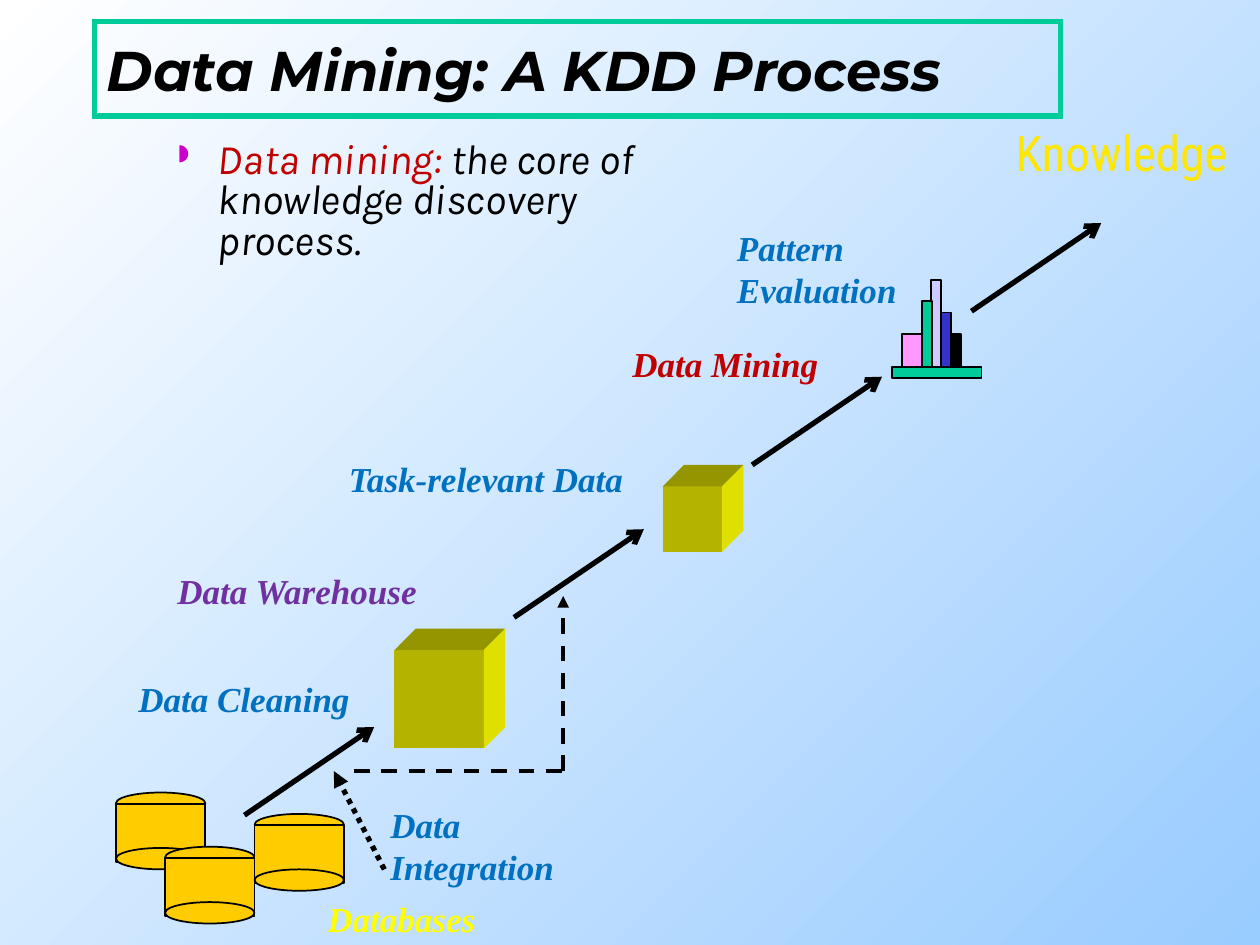
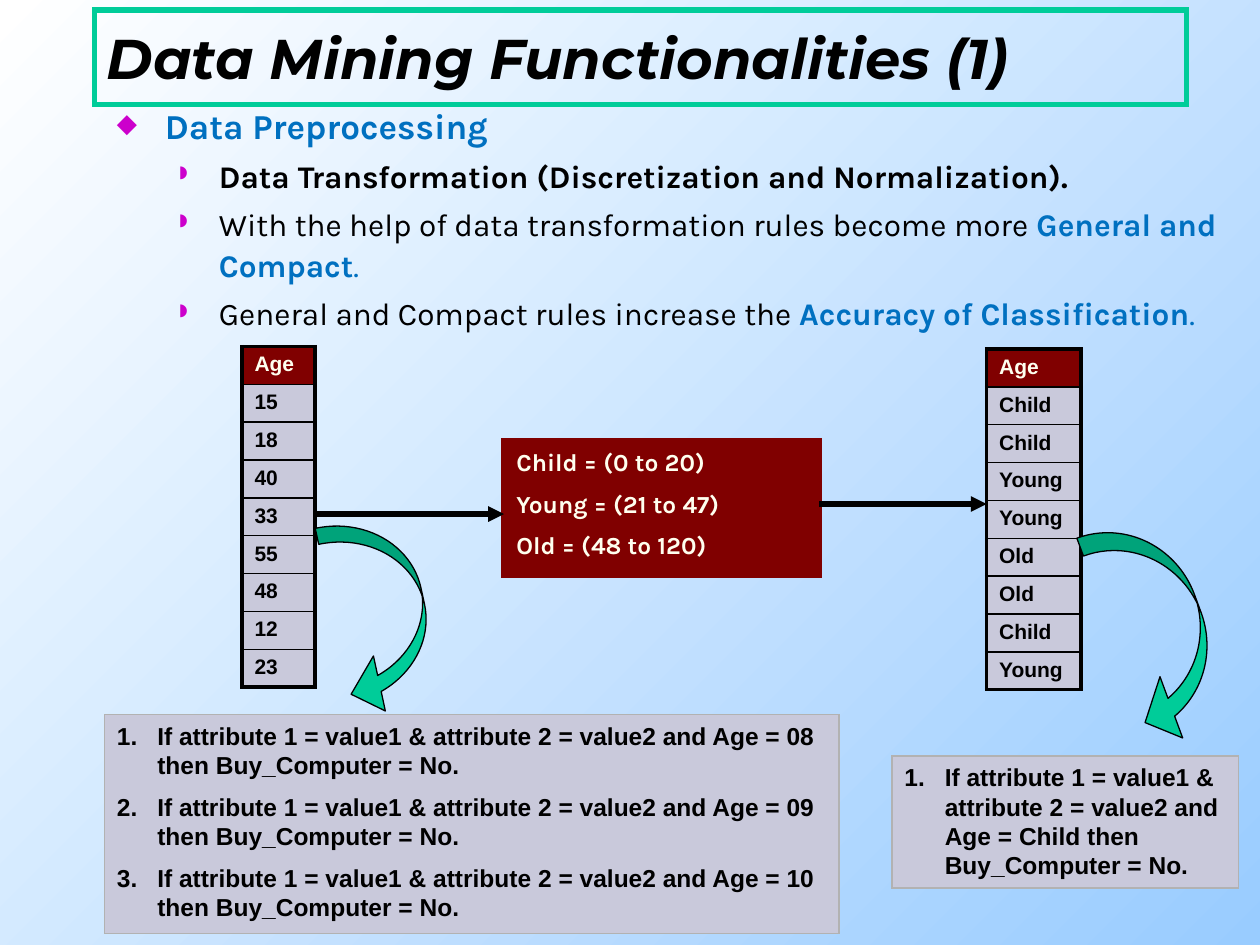
from lxml import etree
from pptx import Presentation
from pptx.dml.color import RGBColor
from pptx.enum.dml import MSO_LINE
from pptx.enum.shapes import MSO_CONNECTOR, MSO_SHAPE
from pptx.enum.text import MSO_ANCHOR, PP_ALIGN
from pptx.oxml.ns import qn
from pptx.util import Inches, Pt

STRAIGHT = MSO_CONNECTOR.STRAIGHT
RECTANGLE, OVAL = MSO_SHAPE.RECTANGLE, MSO_SHAPE.OVAL
CURVED_ARROW = MSO_SHAPE.CURVED_LEFT_ARROW
DASH, DOTS = MSO_LINE.DASH, MSO_LINE.ROUND_DOT
MIDDLE, CENTER = MSO_ANCHOR.MIDDLE, PP_ALIGN.CENTER

COLORS = {name: RGBColor.from_string(value) for name, value in {
    "black": "000000", "white": "FFFFFF", "sky": "99CCFF", "green": "00CC99",
    "red": "C00000", "blue": "0070C0", "purple": "7030A0", "yellow": "FFFF00",
    "gold": "FFE701", "amber": "FFCC00", "maroon": "800000", "cream": "FFFFEF",
    "lavender": "C9C9DB", "gray": "B2B2B2", "lilac": "CCCCFF", "indigo": "3333CC",
    "pink": "FF99FF", "cube front": "B3B300", "cube top": "959500",
    "cube side": "DFDF00"}.items()}

# Left margin and hanging indent in inches, then the bullet elements
BULLETS = {
    "diamond": (0.38, 0.38, [("buClr", "CC00CC"), ("buSzPct", {"val": "75000"}),
                             ("buChar", {"char": "◆"})]),
    "half": (0.81, 0.31, [("buClr", "CC00CC"), ("buSzPct", {"val": "55000"}),
                          ("buChar", {"char": "◗"})]),
    "number": (0.32, 0.32, [("buAutoNum", {"type": "arabicPeriod"})]),
}


def write(frame, paragraphs, font, size, bold=False, italic=False,
          bullets=None, before=0, spacing=None):
    """Fill a frame; each paragraph is a list of (text, colour[, bold]) runs."""
    for index, spans in enumerate(paragraphs):
        para = frame.add_paragraph() if index else frame.paragraphs[0]
        if index:
            para.space_before = Pt(before)
        if spacing:
            para.line_spacing = spacing
        if bullets:
            margin, hanging, elements = BULLETS[bullets[index]]
            properties = para._p.get_or_add_pPr()
            properties.set("marL", str(Inches(margin)))
            properties.set("indent", str(-Inches(hanging)))
            for tag, value in elements:
                element = etree.SubElement(properties, qn("a:" + tag))
                if tag == "buClr":
                    etree.SubElement(element, qn("a:srgbClr"), val=value)
                else:
                    element.attrib.update(value)
        for text, color, *weight in spans:
            span = para.add_run()
            span.text = text
            span.font.name = font
            span.font.size = Pt(size)
            span.font.bold = weight[0] if weight else bold
            span.font.italic = italic
            span.font.color.rgb = COLORS[color]


def connect(page, start, end, head=None, width=3, dash=None):
    line = page.shapes.add_connector(STRAIGHT, *map(Inches, start + end))
    line.line.color.rgb = COLORS["black"]
    line.line.width = Pt(width)
    if dash:
        line.line.dash_style = dash
    if head:
        etree.SubElement(line.line._get_or_add_ln(), qn("a:tailEnd"), type=head)
    etree.SubElement(line._element.spPr, qn("a:effectLst"))


deck = Presentation()
deck.slide_width, deck.slide_height = Inches(10), Inches(7.5)

# Shared background and framed title
pages = []
for title, top, width in [("Data Mining: A KDD Process", 0.17, 7.67),
                          ("Data Mining Functionalities (1)", 0.08, 8.67)]:
    page = deck.slides.add_slide(deck.slide_layouts[6])
    backdrop = page.background.fill
    backdrop.gradient()
    backdrop.gradient_angle = 315
    for stop, color in zip(backdrop.gradient_stops, ("white", "sky")):
        stop.color.rgb = COLORS[color]
    box = page.shapes.add_textbox(*map(Inches, (0.75, top, width, 0.75)))
    box.line.color.rgb = COLORS["green"]
    box.line.width = Pt(3)
    etree.SubElement(box.line._get_or_add_ln(), qn("a:miter"), lim="800000")
    box.text_frame.word_wrap = True
    box.text_frame.vertical_anchor = MIDDLE
    write(box.text_frame, [[(title, "black")]], "Montserrat", 32, True, True)
    pages.append(page)
process_page, functions_page = pages

# Slide 1: the KDD process
box = process_page.shapes.add_textbox(*map(Inches, (0.92, 1.08, 4.83, 1.17)))
box.text_frame.word_wrap = True
box.text_frame.margin_left = box.text_frame.margin_right = 0
write(box.text_frame,
      [[("Data mining: ", "red"), ("the core of knowledge discovery process.", "black")]],
      "Karla", 24, italic=True, bullets=["half"], spacing=0.8)

for x, y in [(1.94, 6.47), (7.71, 2.47), (5.97, 3.69), (4.08, 4.9)]:
    connect(process_page, (x, y), (x + 1.03, y - 0.7), "arrow")

# Databases: each cylinder is a body between two ellipses
cylinder_parts = [(OVAL, 0, 0.17), (RECTANGLE, 0.09, 0.46), (OVAL, 0.44, 0.17)]
solids = [(kind, x, y + offset, 0.71, height, "amber")
          for x, y in [(0.92, 6.29), (1.31, 6.72), (2.02, 6.46)]
          for kind, offset, height in cylinder_parts]
# Pattern evaluation: bars standing on a base
bars = [(7.39, 0.08, 0.69, "lilac"), (7.47, 0.08, 0.43, "indigo"),
        (7.32, 0.08, 0.52, "green"), (7.55, 0.08, 0.26, "black"),
        (7.16, 0.16, 0.26, "pink")]
solids += [(RECTANGLE, x, 2.91 - height, width, height, color)
           for x, width, height, color in bars]
solids.append((RECTANGLE, 7.08, 2.91, 0.71, 0.09, "green"))
for kind, x, y, width, height, color in solids:
    solid = process_page.shapes.add_shape(kind, *map(Inches, (x, y, width, height)))
    solid.shadow.inherit = False
    solid.fill.solid()
    solid.fill.fore_color.rgb = COLORS[color]
    solid.line.color.rgb = COLORS["black"]
    solid.line.width = Pt(1)

# Cubes for the warehouse and the task-relevant data
depth = 0.17
for x, y, width, height in [(3.13, 5.16, 0.71, 0.78), (5.26, 3.86, 0.47, 0.52)]:
    right, bottom = x + width, y + height
    faces = {
        "cube front": [(x, y), (right, y), (right, bottom), (x, bottom)],
        "cube top": [(x, y), (x + depth, y - depth),
                     (right + depth, y - depth), (right, y)],
        "cube side": [(right, y), (right + depth, y - depth),
                      (right + depth, bottom - depth), (right, bottom)],
    }
    for color, corners in faces.items():
        points = [(Inches(a), Inches(b)) for a, b in corners]
        outline = process_page.shapes.build_freeform(*points[0])
        outline.add_line_segments(points[1:], close=True)
        face = outline.convert_to_shape()
        face.shadow.inherit = False
        face.fill.solid()
        face.fill.fore_color.rgb = COLORS[color]
        face.line.fill.background()

for text, x, y, width, height, color in [
        ("Data Cleaning", 1, 5.33, 2.1, 0.43, "blue"),
        ("Data Integration", 3, 6.33, 1.65, 0.76, "blue"),
        ("Databases", 2.5, 7.07, 1.5, 0.43, "yellow"),
        ("Data Warehouse", 1.31, 4.47, 2.37, 0.43, "purple"),
        ("Task-relevant Data", 2.67, 3.58, 2.6, 0.43, "blue"),
        ("Data Mining", 4.92, 2.67, 1.9, 0.43, "red"),
        ("Pattern Evaluation", 5.75, 1.75, 1.65, 0.76, "blue")]:
    label = process_page.shapes.add_textbox(*map(Inches, (x, y, width, height)))
    label.text_frame.word_wrap = True
    write(label.text_frame, [[(text, color)]], "Times New Roman", 20, True, True)

goal = process_page.shapes.add_textbox(*map(Inches, (7.82, 0.92, 2.16, 0.7)))
goal.text_frame.word_wrap = False
goal.text_frame.margin_left = goal.text_frame.margin_right = 0
write(goal.text_frame, [[("Knowledge", "gold")]], "Roboto Condensed", 28)
goal.text_frame.paragraphs[0].alignment = CENTER

connect(process_page, (3.05, 6.9), (2.65, 6.12), "triangle", dash=DOTS)
connect(process_page, (2.81, 6.12), (4.47, 6.12), width=2.25, dash=DASH)
connect(process_page, (4.47, 6.12), (4.47, 4.73), "triangle", 2.25, DASH)

# Slide 2: data preprocessing
box = functions_page.shapes.add_textbox(*map(Inches, (0.83, 0.75, 9.17, 2)))
box.text_frame.word_wrap = True
write(box.text_frame, [
    [("Data Preprocessing", "blue", True)],
    [("Data Transformation (Discretization and Normalization).", "black", True)],
    [("With the help of data transformation rules become more ", "black"),
     ("General and Compact", "blue", True), (".", "blue")],
    [("General and Compact rules increase the ", "black"),
     ("Accuracy of Classification", "blue", True), (".", "blue")],
], "Karla", 18, bullets=["diamond", "half", "half", "half"], before=3.6, spacing=1.1)
box.text_frame.paragraphs[0].runs[0].font.size = Pt(20)

# Ages before and after discretization
for x, y, width, values in [
        (7.83, 2.77, 0.75, ["Age", "Child", "Child", "Young", "Young",
                            "Old", "Old", "Child", "Young"]),
        (1.92, 2.75, 0.58, ["Age", "15", "18", "40", "33", "55", "48", "12", "23"])]:
    last = len(values) - 1
    table = functions_page.shapes.add_table(
        len(values), 1, *map(Inches, (x, y, width, 0.3 * len(values)))).table
    table.first_row = table.horz_banding = False
    for row, value in enumerate(values):
        cell = table.cell(row, 0)
        write(cell.text_frame, [[(value, "black" if row else "cream")]], "Arial", 12, True)
        borders = {"lnL": 2.25, "lnR": 2.25, "lnT": 1 if row else 2.25,
                   "lnB": 2.25 if row == last else 1}
        for side, weight in borders.items():
            border = etree.SubElement(cell._tc.get_or_add_tcPr(), qn("a:" + side),
                                      w=str(Pt(weight)))
            paint = etree.SubElement(border, qn("a:solidFill"))
            etree.SubElement(paint, qn("a:srgbClr"), val=str(COLORS["black"]))
        cell.fill.solid()
        cell.fill.fore_color.rgb = COLORS["lavender" if row else "maroon"]

# Age ranges and the rules on either side
rule = "If attribute 1 = value1 & attribute 2 = value2 and Age = {} then Buy_Computer = No."
ranges = ["Child = (0 to 20)", "Young = (21 to 47)", "Old = (48 to 120)"]
for place, texts, font, ink, fill, edge, weight, bullet in [
        ((4, 3.5, 2.5, 1.07), ranges, "Karla", "cream", "maroon", "maroon", 3, None),
        ((0.83, 5.67, 5.83, 1.74), [rule.format(age) for age in ("08", "09", "10")],
         "Arial", "black", "lavender", "gray", 1, "number"),
        ((7.08, 6, 2.75, 1.05), [rule.format("Child")],
         "Arial", "black", "lavender", "gray", 1, "number")]:
    box = functions_page.shapes.add_textbox(*map(Inches, place))
    box.fill.solid()
    box.fill.fore_color.rgb = COLORS[fill]
    box.line.color.rgb = COLORS[edge]
    box.line.width = Pt(weight)
    etree.SubElement(box.line._get_or_add_ln(), qn("a:miter"), lim="800000")
    box.text_frame.word_wrap = True
    write(box.text_frame, [[(text, ink)] for text in texts], font, 14, True,
          bullets=[bullet] * len(texts) if bullet else None, before=7)

connect(functions_page, (2.5, 4.08), (4, 4.08), "triangle")
connect(functions_page, (6.5, 4), (7.83, 4), "triangle")

for place, rotation, adjustments in [
        ((2.66, 4.1, 0.72, 1.57), 347.8, (0.18, 0.62, 0.33)),
        ((8.84, 4.09, 0.72, 1.82), 339.7, (0.21, 0.72, 0.33))]:
    arrow = functions_page.shapes.add_shape(CURVED_ARROW, *map(Inches, place))
    arrow.rotation = rotation
    for index, value in enumerate(adjustments):
        arrow.adjustments[index] = value
    arrow.shadow.inherit = False
    arrow.fill.solid()
    arrow.fill.fore_color.rgb = COLORS["green"]
    arrow.line.color.rgb = COLORS["black"]
    arrow.line.width = Pt(0.75)

deck.save("out.pptx")
